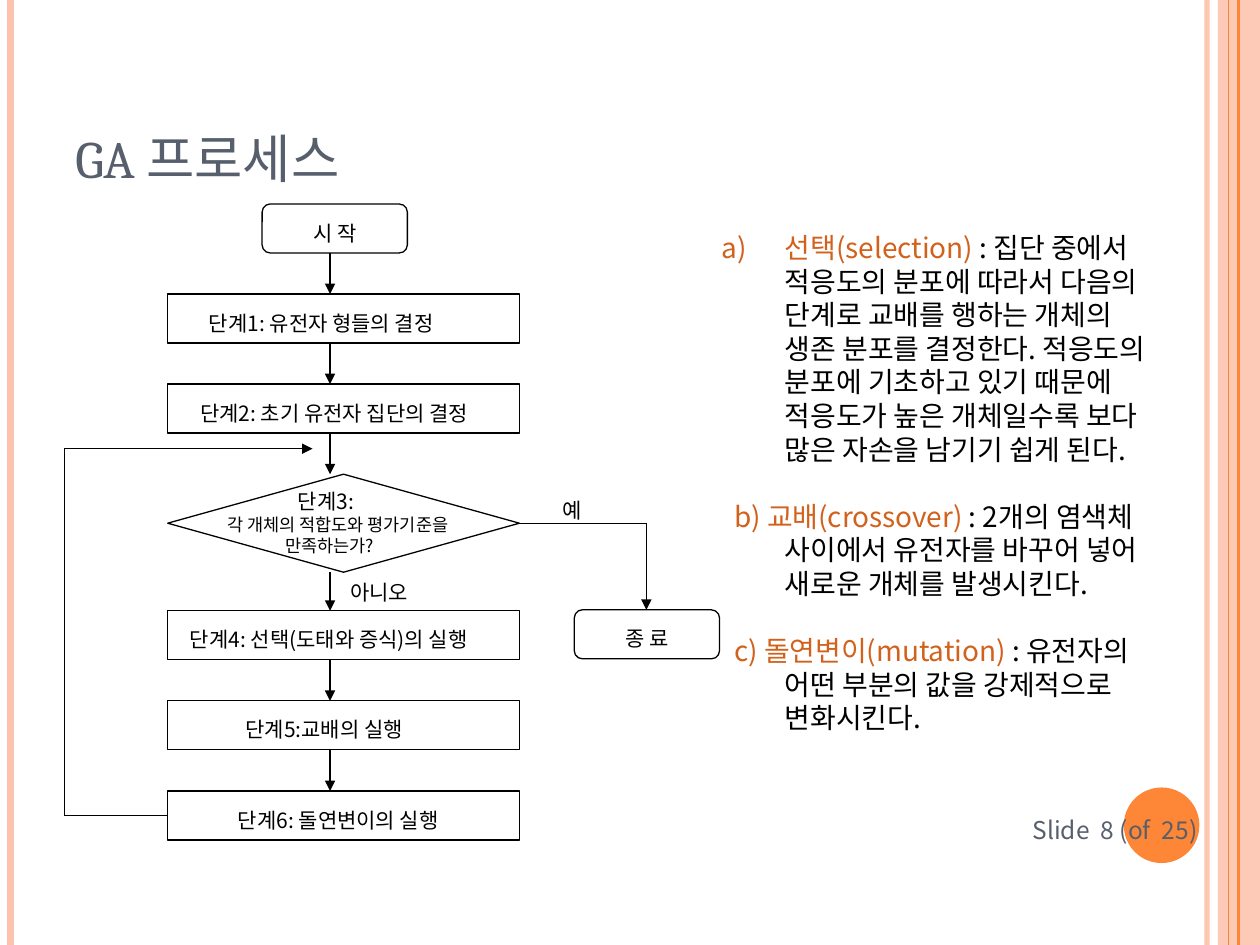
"""Build the genetic algorithm process slide with its flowchart and notes."""
import dataclasses
import itertools
import typing

import pptx
import pptx.dml.color
import pptx.enum.shapes
import pptx.enum.text
import pptx.oxml
import pptx.oxml.ns
import pptx.util

Pt = pptx.util.Pt
RGB = pptx.dml.color.RGBColor
SHAPES = pptx.enum.shapes.MSO_SHAPE
ANCHOR = pptx.enum.text.MSO_ANCHOR
AUTO_SIZE = pptx.enum.text.MSO_AUTO_SIZE
NAMESPACE = pptx.oxml.ns.nsdecls("a")


@dataclasses.dataclass(frozen=True)
class Theme:
    ink: str = "000000"
    title: str = "575F6D"
    accent: str = "D2611C"
    orange: str = "FE8637"
    peach: str = "FEC3AE"
    title_font: str = "Cambria"
    font: str = "Noto Sans CJK KR"
    title_size: float = 30
    body_size: float = 16
    footer_size: float = 14
    label_size: float = 12
    small_size: float = 10
    line_width: float = 0.75
    leading: float = 1.2


@dataclasses.dataclass(frozen=True)
class Box:
    left: float
    top: float
    width: float
    height: float

    @property
    def bottom(self) -> float:
        return self.top + self.height

    def lengths(self) -> list:
        return [Pt(value) for value in dataclasses.astuple(self)]


class Run(typing.NamedTuple):
    text: str
    color: str


class Line(typing.NamedTuple):
    runs: list
    size: float
    margin: float = 0
    indent: float = 0
    before: float = 0
    numbered: bool = False


class Step(typing.NamedTuple):
    preset: typing.Any
    box: Box
    text: str
    text_left: float
    text_width: float


class Stripe(typing.NamedTuple):
    x: float
    color: str
    width: float
    opacity: int = 100


THEME = Theme()
SLIDE_WIDTH, SLIDE_HEIGHT = 720, 540
FLOW_X, LOOP_X, END_X = 188.6, 36.7, 369.4
DECISION = Box(95.8, 271, 201, 56)


def step_box(top: float) -> Box:
    return Box(DECISION.left, top, DECISION.width, 28)


START = Step(SHAPES.ROUNDED_RECTANGLE, Box(149.8, 116.6, 83, 28), "시 작", 172, 41)
END = Step(SHAPES.ROUNDED_RECTANGLE, Box(328.2, 348.5, 83, 28), "종 료", 350.6, 41)
BEFORE = [
    START,
    Step(SHAPES.RECTANGLE, step_box(168), "단계1: 유전자 형들의 결정", 112.3, 156),
    Step(SHAPES.RECTANGLE, step_box(219.5), "단계2: 초기 유전자 집단의 결정", 107.3, 184),
]
AFTER = [
    Step(SHAPES.RECTANGLE, step_box(349), "단계4: 선택(도태와 증식)의 실행", 101.5, 199),
    Step(SHAPES.RECTANGLE, step_box(400.5), "단계5:교배의 실행", 133.2, 115),
    Step(SHAPES.RECTANGLE, step_box(452), "단계6: 돌연변이의 실행", 128.9, 141),
]
STRIPES = [
    Stripe(689.8, THEME.peach, 3, 93),
    Stripe(6, THEME.peach, 4.5),
    Stripe(707.8, THEME.orange, 1.5),
    Stripe(702, THEME.orange, 0.75),
]


def apply_format(target: typing.Any, values: dict) -> None:
    for name, value in values.items():
        setattr(target, name, value)


def set_opacity(element: typing.Any, percent: int) -> None:
    for color in element.spPr.iter(pptx.oxml.ns.qn("a:srgbClr")):
        color.append(pptx.oxml.parse_xml(f'<a:alpha {NAMESPACE} val="{percent * 1000}"/>'))


def draw_line(slide, start: tuple, end: tuple, color: str = THEME.ink,
              width: float = THEME.line_width, arrow: bool = False, opacity: int = 100) -> None:
    kind = pptx.enum.shapes.MSO_CONNECTOR.STRAIGHT
    connector = slide.shapes.add_connector(kind, *(Pt(value) for value in start + end))
    connector.line.color.rgb = RGB.from_string(color)
    connector.line.width = Pt(width)
    if opacity < 100:
        set_opacity(connector._element, opacity)
    if arrow:
        connector.line._get_or_add_ln().append(
            pptx.oxml.parse_xml(f'<a:tailEnd {NAMESPACE} type="triangle"/>'))
    connector._element.spPr.append(pptx.oxml.parse_xml(f"<a:effectLst {NAMESPACE}/>"))


def draw_shape(slide, preset, box: Box, fill: typing.Optional[str] = None, opacity: int = 100) -> None:
    shape = slide.shapes.add_shape(preset, *box.lengths())
    shape.shadow.inherit = False
    if fill:
        shape.fill.solid()
        shape.fill.fore_color.rgb = RGB.from_string(fill)
        shape.line.fill.background()
    else:
        shape.fill.background()
        shape.line.color.rgb = RGB.from_string(THEME.ink)
        shape.line.width = Pt(THEME.line_width)
    if opacity < 100:
        set_opacity(shape._element, opacity)


def draw_text(slide, box: Box, lines: list, font: str = THEME.font, wrap: bool = False,
              anchor=ANCHOR.TOP, leading: typing.Optional[float] = THEME.leading) -> None:
    frame = slide.shapes.add_textbox(*box.lengths()).text_frame
    size_rule = AUTO_SIZE.NONE if wrap else AUTO_SIZE.SHAPE_TO_FIT_TEXT
    apply_format(frame, {"word_wrap": wrap, "auto_size": size_rule, "vertical_anchor": anchor})
    for index, line in enumerate(lines):
        paragraph = frame.add_paragraph() if index else frame.paragraphs[0]
        paragraph.space_before = Pt(line.before)
        if leading:
            paragraph.line_spacing = Pt(line.size * leading)
        properties = paragraph._p.get_or_add_pPr()
        properties.set("marL", str(Pt(line.margin)))
        properties.set("indent", str(Pt(line.indent)))
        if line.numbered:
            properties.append(pptx.oxml.parse_xml(
                f'<a:buClr {NAMESPACE}><a:srgbClr val="{THEME.accent}"/></a:buClr>'))
            properties.append(pptx.oxml.parse_xml(
                f'<a:buAutoNum {NAMESPACE} type="alphaLcParenR"/>'))
        for part in line.runs:
            run = paragraph.add_run()
            run.text = part.text
            apply_format(run.font, {"name": font, "size": Pt(line.size)})
            run.font.color.rgb = RGB.from_string(part.color)
            run._r.get_or_add_rPr().append(
                pptx.oxml.parse_xml(f'<a:ea {NAMESPACE} typeface="{THEME.font}"/>'))


def draw_label(slide, left: float, top: float, width: float, text: str) -> None:
    draw_text(slide, Box(left, top, width, 21.6), [Line([Run(text, THEME.ink)], THEME.label_size)])


def draw_flowchart(slide) -> None:
    for step in BEFORE + AFTER + [END]:
        draw_shape(slide, step.preset, step.box)
        draw_label(slide, step.text_left, step.box.top + 5.7, step.text_width, step.text)
    draw_shape(slide, SHAPES.FLOWCHART_DECISION, DECISION)
    question = [("단계3:", THEME.label_size, 40), ("각 개체의 적합도와 평가기준을", THEME.small_size, 0),
                ("만족하는가?", THEME.small_size, 33)]
    draw_text(slide, Box(123.1, 275.8, 152, 46),
              [Line([Run(text, THEME.ink)], size, margin) for text, size, margin in question])
    boxes = [step.box for step in BEFORE] + [DECISION] + [step.box for step in AFTER]
    for upper, lower in itertools.pairwise(boxes):
        draw_line(slide, (FLOW_X, upper.bottom), (FLOW_X, lower.top), arrow=True)
    middle = DECISION.top + DECISION.height / 2
    last_middle = boxes[-1].top + boxes[-1].height / 2
    loop = [(DECISION.left, last_middle), (LOOP_X, last_middle), (LOOP_X, 256.4), (178.6, 256.4)]
    finish = [(DECISION.left + DECISION.width, middle), (END_X, middle), (END_X, END.box.top)]
    for route in (loop, finish):
        for start, end in itertools.pairwise(route):
            draw_line(slide, start, end, arrow=end == route[-1])
    draw_label(slide, 193, 327.6, 49, "아니오")
    draw_label(slide, 314.6, 280.8, 26, "예")


def draw_notes(slide) -> None:
    notes = [
        ("선택(selection)", " : 집단 중에서 적응도의 분포에 따라서 다음의 단계로 교배를 행하는 개체의 생존 분포를 "
         "결정한다. 적응도의 분포에 기초하고 있기 때문에 적응도가 높은 개체일수록 보다 많은 자손을 남기기 쉽게 된다."),
        ("b) 교배(crossover)", " : 2개의 염색체 사이에서 유전자를 바꾸어 넣어 새로운 개체를 발생시킨다."),
        ("c) 돌연변이(mutation)", " : 유전자의 어떤 부분의 값을 강제적으로 변화시킨다."),
    ]
    gap = THEME.body_size * THEME.leading
    lines = [Line([Run(term, THEME.accent), Run(meaning, THEME.ink)], THEME.body_size, 36,
                  -29 if index else -36, gap if index else 0, index == 0)
             for index, (term, meaning) in enumerate(notes)]
    draw_text(slide, Box(405.4, 128.2, 267.8, 336), lines, wrap=True)


def main() -> None:
    presentation = pptx.Presentation()
    apply_format(presentation, {"slide_width": Pt(SLIDE_WIDTH), "slide_height": Pt(SLIDE_HEIGHT)})
    slide = presentation.slides.add_slide(presentation.slide_layouts[6])
    draw_shape(slide, SHAPES.RECTANGLE, Box(696, 0, 24, SLIDE_HEIGHT), THEME.peach, 87)
    for stripe in STRIPES:
        draw_line(slide, (stripe.x, 0), (stripe.x, SLIDE_HEIGHT), stripe.color, stripe.width,
                  opacity=stripe.opacity)
    draw_shape(slide, SHAPES.OVAL, Box(642.2, 450, 43.2, 43.2), THEME.orange)
    draw_text(slide, Box(36, 21.6, 588, 90), [Line([Run("GA 프로세스", THEME.title)], THEME.title_size)],
              THEME.title_font, True, ANCHOR.BOTTOM, None)
    draw_flowchart(slide)
    draw_notes(slide)
    draw_text(slide, Box(583, 457.2, 113, 33.8),
              [Line([Run("Slide  8 (of  25)", THEME.title)], THEME.footer_size)], wrap=True,
              anchor=ANCHOR.MIDDLE)
    presentation.save("out.pptx")


if __name__ == "__main__":
    main()
